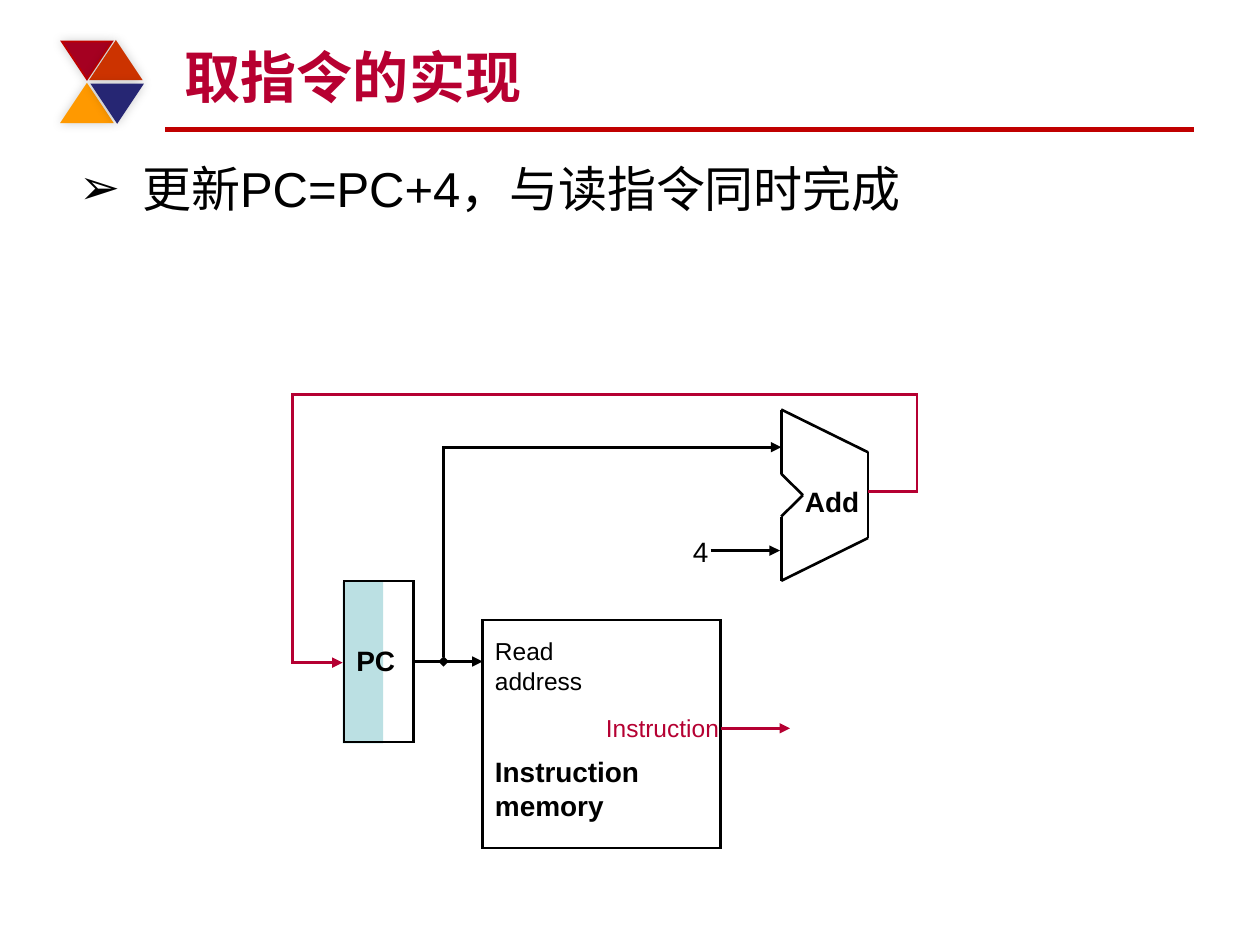
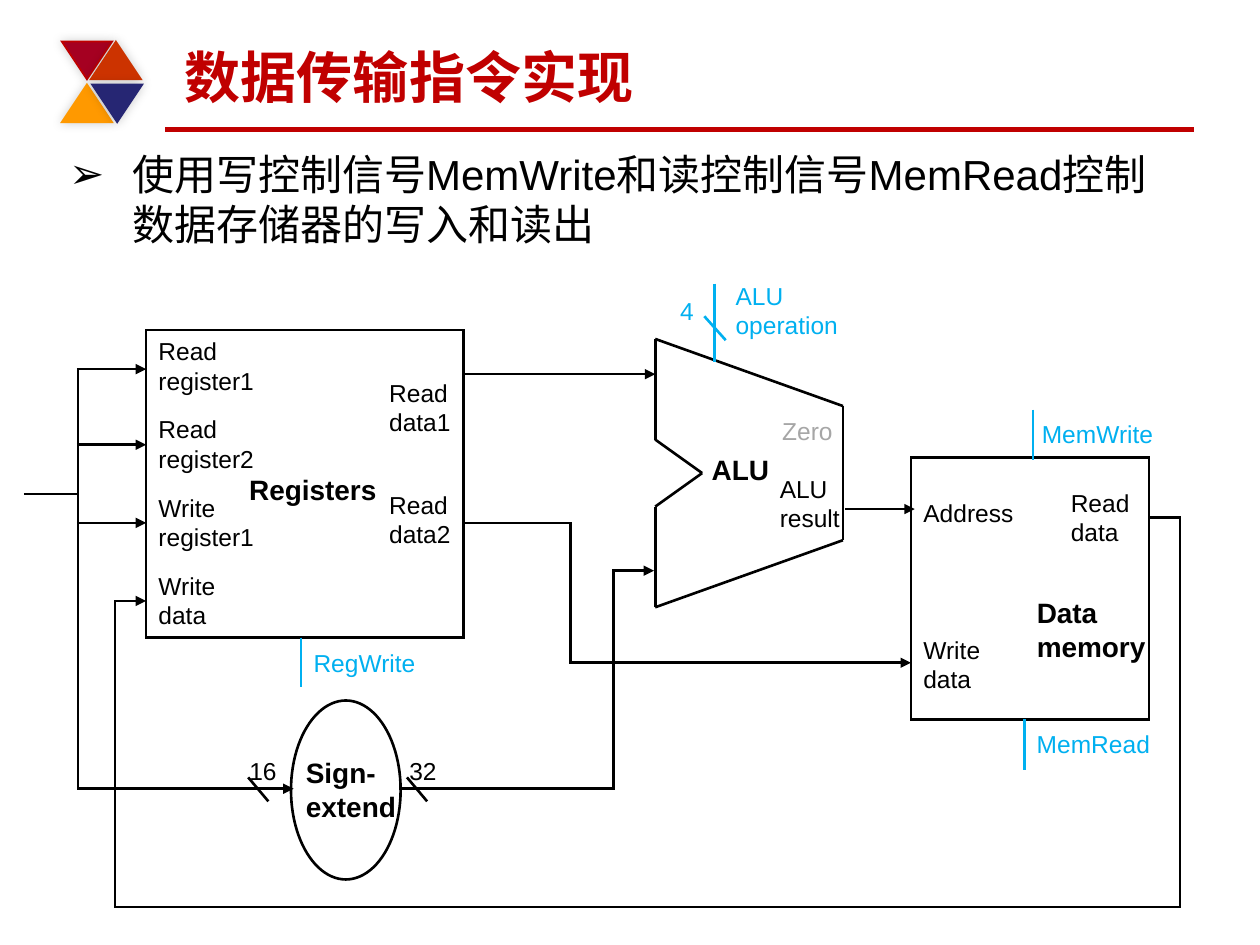
"""Build two slides on fetching instructions and moving data in a processor."""
from dataclasses import dataclass
from itertools import pairwise
from math import cos, radians, sin
from typing import Any

from lxml.etree import SubElement
from pptx import Presentation
from pptx.dml.color import RGBColor
from pptx.enum.dml import MSO_THEME_COLOR
from pptx.enum.shapes import MSO_CONNECTOR, MSO_SHAPE
from pptx.enum.text import MSO_ANCHOR
from pptx.oxml.ns import qn
from pptx.util import Inches, Pt

Point = tuple[float, float]


@dataclass(frozen=True)
class Theme:
    font: str = "Arial"
    black: str = "000000"
    crimson: str = "B70031"
    wine: str = "B50032"
    rule: str = "C00000"
    control: str = "00B0F0"
    faint: str = "A6A6A6"
    tint: str = "BBE0E3"
    title: int = 32
    name: int = 16
    note: int = 14
    stroke: float = 1.5


THEME = Theme()


@dataclass(frozen=True)
class Label:
    text: str
    left: float
    top: float
    width: float = 1.3
    size: int = THEME.note
    bold: bool = False
    color: str = THEME.black
    height: float = 0
    anchor: Any = MSO_ANCHOR.TOP
    bullet: bool = False


@dataclass(frozen=True)
class Wire:
    start: Point
    end: Point
    color: str = THEME.black
    head: str = ""
    tail: str = "triangle"
    width: float = THEME.stroke
    preset: str = ""
    bends: tuple[float, ...] = ()
    rotation: int = 0


@dataclass(frozen=True)
class Block:
    left: float
    top: float
    width: float
    height: float
    fill: str = ""
    line: str = THEME.black
    kind: Any = MSO_SHAPE.RECTANGLE
    line_width: float = THEME.stroke
    rotation: int = 0
    shadow: bool = False


def assign(target: Any, values: dict[str, Any]) -> None:
    """Set each named attribute on the target."""
    for key, value in values.items():
        setattr(target, key, value)


def add_bullet(para: Any) -> None:
    """Give a paragraph an arrow bullet with a hanging indent."""
    properties = para._p.get_or_add_pPr()
    properties.set("marL", str(Inches(0.5)))
    properties.set("indent", str(Inches(-0.5)))
    SubElement(properties, qn("a:buFont"), typeface=THEME.font)
    SubElement(properties, qn("a:buChar"), char="➢")


def draw_label(page: Any, label: Label) -> None:
    """Draw a text box with one paragraph for each line."""
    lines = label.text.split("\n")
    height = label.height or 0.1 + len(lines) * label.size / 59
    box = page.shapes.add_textbox(*map(Inches, (label.left, label.top, label.width, height)))
    frame = box.text_frame
    assign(frame, {"word_wrap": True, "vertical_anchor": label.anchor})
    for index, line in enumerate(lines):
        para = frame.add_paragraph() if index else frame.paragraphs[0]
        if label.bullet:
            add_bullet(para)
        span = para.add_run()
        span.text = line
        assign(span.font, {"name": THEME.font, "size": Pt(label.size), "bold": label.bold})
        span.font.color.rgb = RGBColor.from_string(label.color)
        SubElement(span.font._element, qn("a:ea"), typeface=THEME.font)


def add_glow(shape: Any) -> None:
    """Put a soft, faint shadow around a shape."""
    effects = shape._element.spPr.find(qn("a:effectLst"))
    shadow = SubElement(effects, qn("a:outerShdw"), blurRad=str(Pt(6)), dist="0",
                        dir="18900000", algn="ctr", rotWithShape="0")
    color = SubElement(shadow, qn("a:srgbClr"), val=THEME.black)
    SubElement(color, qn("a:alpha"), val="20000")


def draw_block(page: Any, block: Block) -> Any:
    """Draw a preset shape, where an empty colour means no fill or line."""
    shape = page.shapes.add_shape(
        block.kind, *map(Inches, (block.left, block.top, block.width, block.height)))
    shape.rotation = block.rotation
    shape.shadow.inherit = False
    for part, color in ((shape.fill, block.fill), (shape.line.fill, block.line)):
        if color:
            part.solid()
            part.fore_color.rgb = RGBColor.from_string(color)
        else:
            part.background()
    if block.line:
        shape.line.width = Pt(block.line_width)
        SubElement(shape.line._get_or_add_ln(), qn("a:miter"), lim="800000")
    if block.shadow:
        add_glow(shape)
    return shape


def unturn(wire: Wire) -> tuple[float, ...]:
    """Return the ends of a wire as they lie before its rotation."""
    middle_x, middle_y = ((a + b) / 2 for a, b in zip(wire.start, wire.end))
    cosine, sine = cos(radians(wire.rotation)), sin(radians(wire.rotation))
    ends = []
    for x, y in (wire.start, wire.end):
        across, down = x - middle_x, y - middle_y
        ends += [middle_x + across * cosine + down * sine,
                 middle_y + down * cosine - across * sine]
    return tuple(ends)


def draw_wire(page: Any, wire: Wire) -> Any:
    """Draw a straight or bent connector."""
    kind = MSO_CONNECTOR.ELBOW if wire.preset else MSO_CONNECTOR.STRAIGHT
    connector = page.shapes.add_connector(kind, *map(Inches, unturn(wire)))
    properties = connector._element.spPr
    if wire.preset:
        geometry = properties.find(qn("a:prstGeom"))
        geometry.set("prst", wire.preset)
        guides = geometry.find(qn("a:avLst"))
        for number, bend in enumerate(wire.bends, 1):
            SubElement(guides, qn("a:gd"), name=f"adj{number}", fmla=f"val {bend * 100000:.0f}")
    if wire.rotation:
        properties.find(qn("a:xfrm")).set("rot", str(wire.rotation * 60000))
    connector.line.width = Pt(wire.width)
    connector.line.color.rgb = RGBColor.from_string(wire.color)
    outline = connector.line._get_or_add_ln()
    SubElement(outline, qn("a:miter"), lim="800000")
    for tag, arrow in (("a:headEnd", wire.head), ("a:tailEnd", wire.tail)):
        if arrow:
            SubElement(outline, qn(tag), type=arrow)
    SubElement(properties, qn("a:effectLst"))
    return connector


def draw_adder(page: Any, left: float, top: float, width: float, height: float) -> None:
    """Draw the notched outline of an arithmetic unit, side by side."""
    corners = ((0, 0), (1, 1 / 4), (1, 3 / 4), (0, 1), (0, 5 / 8), (1 / 4, 1 / 2),
               (0, 3 / 8), (0, 0))
    points = [(left + x * width, top + y * height) for x, y in corners]
    for start, end in pairwise(points):
        draw_wire(page, Wire(start, end, tail=""))


def add_page(deck: Any, title: str, color: str) -> Any:
    """Add a slide with the shared rule, emblem and title."""
    page = deck.slides.add_slide(deck.slide_layouts[6])
    page.background.fill.solid()
    page.background.fill.fore_color.theme_color = MSO_THEME_COLOR.BACKGROUND_1
    draw_wire(page, Wire((1.31, 1.03), (9.48, 1.03), THEME.rule, tail="", width=3))
    for left, top, rotation, fill, line in (
        (0.49, 0.33, 180, "A50021", THEME.rule),
        (0.72, 0.33, 0, "CC3300", "CC3300"),
        (0.49, 0.67, 0, "FF9900", "FF9900"),
        (0.73, 0.67, 180, "262673", "262673"),
    ):
        draw_block(page, Block(left, top, 0.4, 0.3, fill, line,
                               MSO_SHAPE.ISOSCELES_TRIANGLE, 1, rotation, True))
    draw_label(page, Label(title, 1.37, 0.25, 8, THEME.title, True, color, 0.67,
                           MSO_ANCHOR.BOTTOM))
    return page


def draw_all(page: Any, wires: tuple[Wire, ...], labels: tuple[Label, ...]) -> None:
    """Draw the wires, then the labels."""
    for wire in wires:
        draw_wire(page, wire)
    for label in labels:
        draw_label(page, label)


def build_fetch(deck: Any) -> None:
    """Build the instruction fetch slide."""
    page = add_page(deck, "取指令的实现", THEME.crimson)
    draw_block(page, Block(2.72, 4.62, 0.32, 1.28, THEME.tint, ""))
    counter = draw_block(page, Block(2.73, 4.61, 0.55, 1.28))
    draw_block(page, Block(3.83, 4.92, 1.89, 1.81))
    draw_adder(page, 6.2, 3.25, 0.69, 1.36)
    draw_wire(page, Wire((3.28, 5.25), (3.83, 5.25))).begin_connect(counter, 3)
    wires = (
        Wire((5.72, 5.78), (6.27, 5.78), THEME.wine),
        Wire((5.64, 4.37), (6.19, 4.37)),
        Wire((3.52, 5.25), (6.2, 3.55), head="diamond", preset="bentConnector2", rotation=90),
        Wire((6.89, 3.9), (2.72, 5.26), THEME.wine, preset="bentConnector5",
             bends=(-0.093, -0.566, 1.096)),
    )
    labels = (
        Label("更新PC=PC+4，与读指令同时完成", 0.53, 1.21, 8.95, 28, height=5.96, bullet=True),
        Label("PC", 2.73, 5.06, 0.6, THEME.name, True),
        Label("Read\naddress", 3.83, 5),
        Label("Instruction\nmemory", 3.83, 5.94, 1.42, THEME.name, True),
        Label("Instruction", 4.71, 5.61, color=THEME.wine),
        Label("Add", 6.29, 3.8, 0.7, THEME.name, True),
        Label("4", 5.4, 4.19, 0.69, THEME.name),
    )
    draw_all(page, wires, labels)


def build_transfer(deck: Any) -> None:
    """Build the data transfer slide."""
    page = add_page(deck, "数据传输指令实现", THEME.rule)
    for block in (
        Block(1.16, 2.62, 2.52, 2.44),
        Block(2.31, 5.56, 0.87, 1.42, kind=MSO_SHAPE.OVAL),
        Block(7.23, 3.63, 1.89, 2.08),
    ):
        draw_block(page, block)
    draw_adder(page, 5.2, 2.69, 1.49, 2.13)
    wires = (
        *(Wire((0.61, y), (1.16, y)) for y in (2.93, 3.53, 4.15)),
        Wire((3.68, 2.97), (5.2, 2.97)),
        Wire((6.71, 4.04), (7.26, 4.04)),
        Wire((0.62, 2.93), (2.33, 6.26), preset="bentConnector2", rotation=270),
        Wire((3.17, 6.26), (5.19, 4.53), preset="bentConnector3", bends=(0.841,)),
        Wire((3.68, 4.15), (7.23, 5.26), preset="bentConnector3", bends=(0.239,)),
        Wire((9.12, 4.11), (1.16, 4.77), preset="bentConnector5", bends=(-0.031, 4.68, 1.031)),
        Wire((0.19, 3.92), (0.63, 3.92), tail=""),
        *(Wire((x, 6.17), (x + 0.16, 6.36), tail="") for x in (1.97, 3.23)),
        Wire((5.59, 2.51), (5.76, 2.7), THEME.control, tail=""),
        *(Wire((x, top), (x, bottom), THEME.control, tail="")
          for x, top, bottom in ((5.67, 2.25, 2.87), (2.39, 5.06, 5.45),
                                 (8.13, 5.71, 6.11), (8.2, 3.25, 3.65))),
    )
    ports = ("Read\nregister1", "Read\nregister2", "Write\nregister1", "Write\ndata")
    labels = (
        Label("使用写控制信号MemWrite和读控制信号MemRead控制数据存储器的写入和读出",
              0.45, 1.13, 9.05, 24, height=0.91, bullet=True),
        *(Label(port, 1.16, 2.62 + 0.62 * row) for row, port in enumerate(ports)),
        Label("Read\ndata1", 2.99, 2.95, 0.75),
        Label("Read\ndata2", 2.99, 3.84, 0.75),
        Label("Registers", 1.88, 3.7, size=THEME.name, bold=True),
        Label("ALU", 5.55, 3.54, 0.75, THEME.name, True),
        Label("Zero", 6.11, 3.25, 0.75, color=THEME.faint),
        Label("ALU\nresult", 6.09, 3.71, 0.75),
        Label("4", 5.3, 2.3, 0.43, color=THEME.control),
        Label("ALU operation", 5.74, 2.18, 1.24, color=THEME.control, height=0.65),
        Label("RegWrite", 2.39, 5.09, color=THEME.control),
        Label("Sign-\nextend", 2.33, 5.95, 1, THEME.name, True),
        Label("16", 1.88, 5.95, 0.45),
        Label("32", 3.15, 5.95, 0.45),
        Label("Data\nmemory", 8.13, 4.68, 1.21, THEME.name, True),
        Label("Address", 7.23, 3.9, 1.09),
        Label("Write\ndata", 7.23, 4.99, 1.09),
        Label("Read\ndata", 8.4, 3.82, 0.75),
        Label("MemRead", 8.13, 5.74, color=THEME.control),
        Label("MemWrite", 8.17, 3.28, color=THEME.control),
    )
    draw_all(page, wires, labels)


def main() -> None:
    """Build and save the deck."""
    deck = Presentation()
    assign(deck, {"slide_width": Inches(10), "slide_height": Inches(7.5)})
    build_fetch(deck)
    build_transfer(deck)
    deck.save("out.pptx")


if __name__ == "__main__":
    main()
